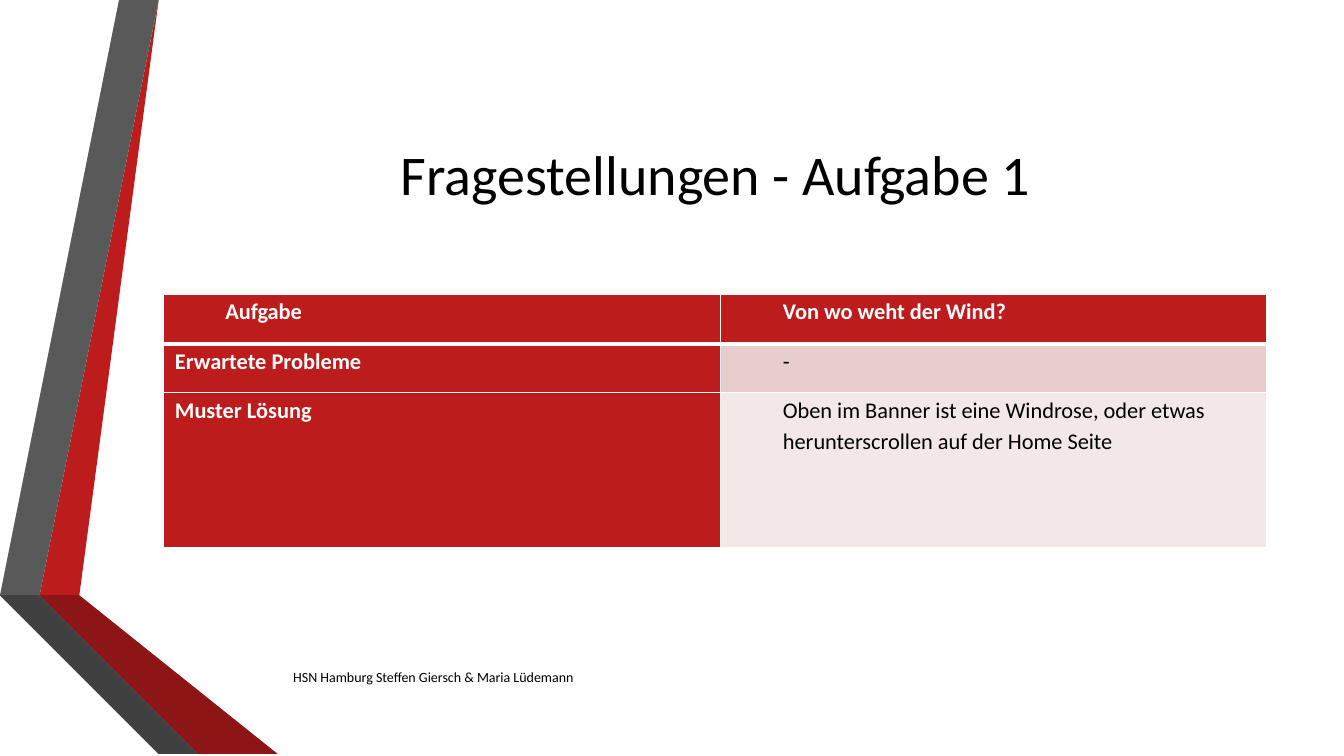
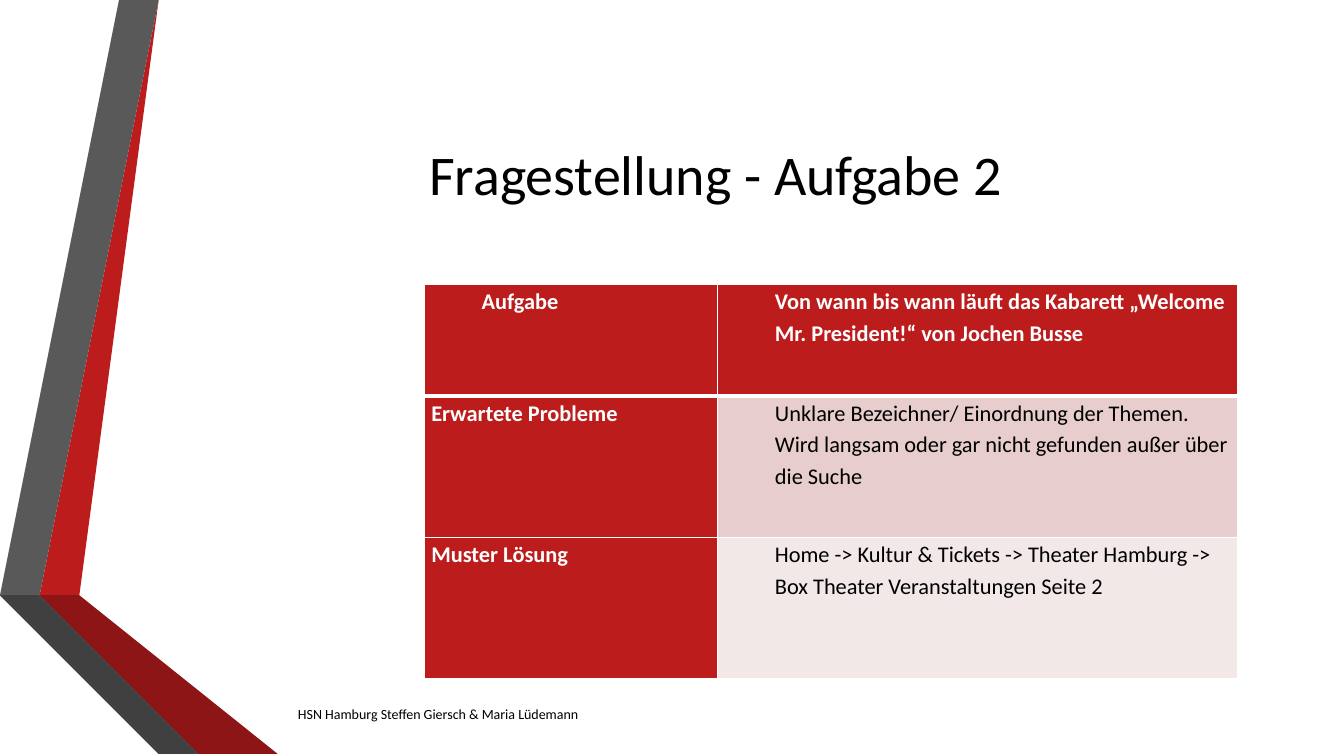
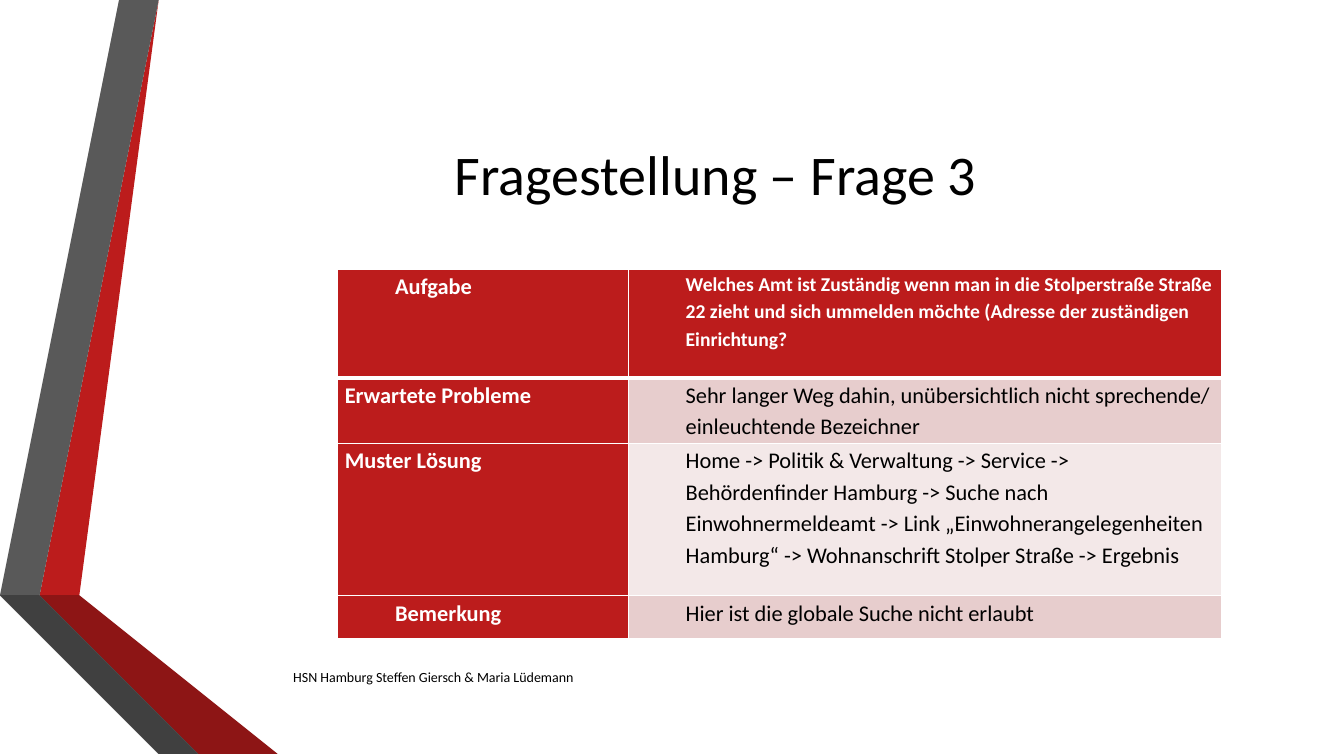
"""Build three task slides with a shared ribbon, title style, table style and footer."""
from pptx import Presentation
from pptx.dml.color import RGBColor
from pptx.enum.text import MSO_ANCHOR as Anchor, PP_ALIGN as Align
from pptx.oxml import parse_xml
from pptx.oxml.ns import nsdecls
from pptx.util import Cm, Pt

FONT = "Calibri"
RED, WHITE, BLACK = "BC1C1C", "FFFFFF", "000000"
ROW_TINTS = ["F3E8E8", "E7CDCD"]
INDENT = Cm(1.27)
INDENTED_LABELS = ["Aufgabe", "Bemerkung"]
FOOTER = "HSN Hamburg Steffen Giersch & Maria Lüdemann"

RIBBON = [
    (RED, [(1.27, 14.68), (1.96, 14.81), (4.38, 0), (3.68, 0)]),
    ("595959", [(3.53, 0), (2.82, 0), (0.41, 14.55), (1.12, 14.66)]),
    ("262626", [(0.41, 14.55), (3.68, 19.05), (3.84, 19.05)]),
    ("5E0E0E", [(1.27, 14.71), (5.28, 19.05), (5.44, 19.05)]),
    ("8D1515", [(1.27, 14.69), (5.44, 19.05), (7.19, 19.05), (1.96, 14.81)]),
    ("404040", [(5.13, 19.05), (1.22, 14.81), (1.12, 14.66), (0.41, 14.55), (3.84, 19.05)]),
]

TASKS = [
    dict(title="Fragestellungen - Aufgabe 1", corner=(4.11, 7.42), inset=0.3,
         columns=[14.05, 13.77], heights=[1.24, 1.24, 3.89], question_size=16,
         footer_at=(7.14, 16.33),
         rows=[("Aufgabe", "Von wo weht der Wind?"),
               ("Erwartete Probleme", "-"),
               ("Muster Lösung", "Oben im Banner ist eine Windrose, oder etwas "
                                 "herunterscrollen auf der Home Seite")]),
    dict(title="Fragestellung - Aufgabe 2", corner=(10.69, 7.16), inset=0.18,
         columns=[7.39, 13.11], heights=[2.82, 3.56, 3.56], question_size=16,
         footer_at=(7.26, 17.27),
         rows=[("Aufgabe", "Von wann bis wann läuft das Kabarett „Welcome "
                           "Mr. President!“ von Jochen Busse"),
               ("Erwartete Probleme", "Unklare Bezeichner/ Einordnung der Themen. Wird langsam "
                                      "oder gar nicht gefunden außer über die Suche"),
               ("Muster Lösung", "Home -> Kultur & Tickets -> Theater Hamburg -> "
                                 "Box Theater Veranstaltungen Seite 2")]),
    dict(title="Fragestellung – Frage 3", corner=(8.51, 6.78), inset=0.18,
         columns=[7.32, 14.96], heights=[2.74, 1.65, 3.84, 1.09], question_size=14,
         footer_at=(7.14, 16.33),
         rows=[("Aufgabe", "Welches Amt ist Zuständig wenn man in die Stolperstraße Straße 22 "
                           "zieht und sich ummelden möchte (Adresse der zuständigen Einrichtung?"),
               ("Erwartete Probleme", "Sehr langer Weg dahin, unübersichtlich nicht sprechende/ "
                                      "einleuchtende Bezeichner"),
               ("Muster Lösung", "Home -> Politik & Verwaltung -> Service -> Behördenfinder "
                                 "Hamburg -> Suche nach Einwohnermeldeamt -> Link "
                                 "„Einwohnerangelegenheiten Hamburg“ -> Wohnanschrift "
                                 "Stolper Straße -> Ergebnis"),
               ("Bemerkung", "Hier ist die globale Suche nicht erlaubt")]),
]


def paint(target, color):
    """Fill the target with a solid hex colour."""
    target.fill.solid()
    target.fill.fore_color.rgb = RGBColor.from_string(color)


def write(frame, text, size, color=BLACK, bold=False):
    """Set the text of a frame and format it; return its paragraph."""
    frame.text = text
    paragraph = frame.paragraphs[0]
    font = paragraph.runs[0].font
    font.name, font.size, font.bold = FONT, Pt(size), bold
    font.color.rgb = RGBColor.from_string(color)
    return paragraph


deck = Presentation()
deck.slide_width, deck.slide_height = Cm(33.87), Cm(19.05)
layout = deck.slide_layouts[5]
heading = layout.placeholders[0]
heading.left, heading.top, heading.width, heading.height = Cm(4.11), Cm(1.91), Cm(27.84), Cm(4.88)
heading.text_frame.vertical_anchor = Anchor.MIDDLE
for placeholder in list(layout.placeholders)[1:]:
    layout.shapes.element.remove(placeholder.element)

slides = [deck.slides.add_slide(layout) for task in TASKS]

for position, (color, points) in enumerate(RIBBON):
    outline = slides[0].shapes.build_freeform(*points[0], scale=Cm(1))
    outline.add_line_segments(points[1:], close=True)
    band = outline.convert_to_shape()
    paint(band, color)
    band.line.fill.background()
    band.shadow.inherit = False
    band.element.nvSpPr.cNvPr.set("id", str(20 + position))
    layout.shapes.element.insert(2 + position, band.element)

for slide, task in zip(slides, TASKS):
    write(slide.shapes.title.text_frame, task["title"], 40).alignment = Align.CENTER

    left, top = task["corner"]
    columns, heights, rows = task["columns"], task["heights"], task["rows"]
    grid = slide.shapes.add_table(len(rows), len(columns), Cm(left), Cm(top),
                                  Cm(sum(columns)), Cm(sum(heights))).table
    grid.horz_banding = False
    for column, width in zip(grid.columns, columns):
        column.width = Cm(width)
    for r, (height, row) in enumerate(zip(heights, rows)):
        grid.rows[r].height = Cm(height)
        for c, text in enumerate(row):
            cell = grid.cell(r, c)
            is_answer = r > 0 and c > 0
            size = task["question_size"] if (r, c) == (0, 1) else 16
            cell.margin_left = cell.margin_right = Cm(task["inset"])
            cell.margin_top = cell.margin_bottom = 0
            paragraph = write(cell.text_frame, text, size,
                              BLACK if is_answer else WHITE, not is_answer)
            paragraph.line_spacing = 1.15
            if c > 0 or text in INDENTED_LABELS:
                paragraph._p.get_or_add_pPr().set("marL", str(INDENT))
            edges = {"lnL": 1, "lnR": 1, "lnT": 3 if r == 1 else 1, "lnB": 3 if r == 0 else 1}
            for edge, weight in edges.items():
                cell._tc.get_or_add_tcPr().append(parse_xml(
                    f'<a:{edge} {nsdecls("a")} w="{Pt(weight)}"><a:solidFill>'
                    f'<a:srgbClr val="{WHITE}"/></a:solidFill></a:{edge}>'))
            paint(cell, ROW_TINTS[r % 2] if is_answer else RED)

    left, top = task["footer_at"]
    footer = slide.shapes.add_textbox(Cm(left), Cm(top), Cm(19.69), Cm(1.45)).text_frame
    footer.word_wrap = True
    footer.vertical_anchor = Anchor.MIDDLE
    write(footer, FOOTER, 10)

deck.save("out.pptx")
